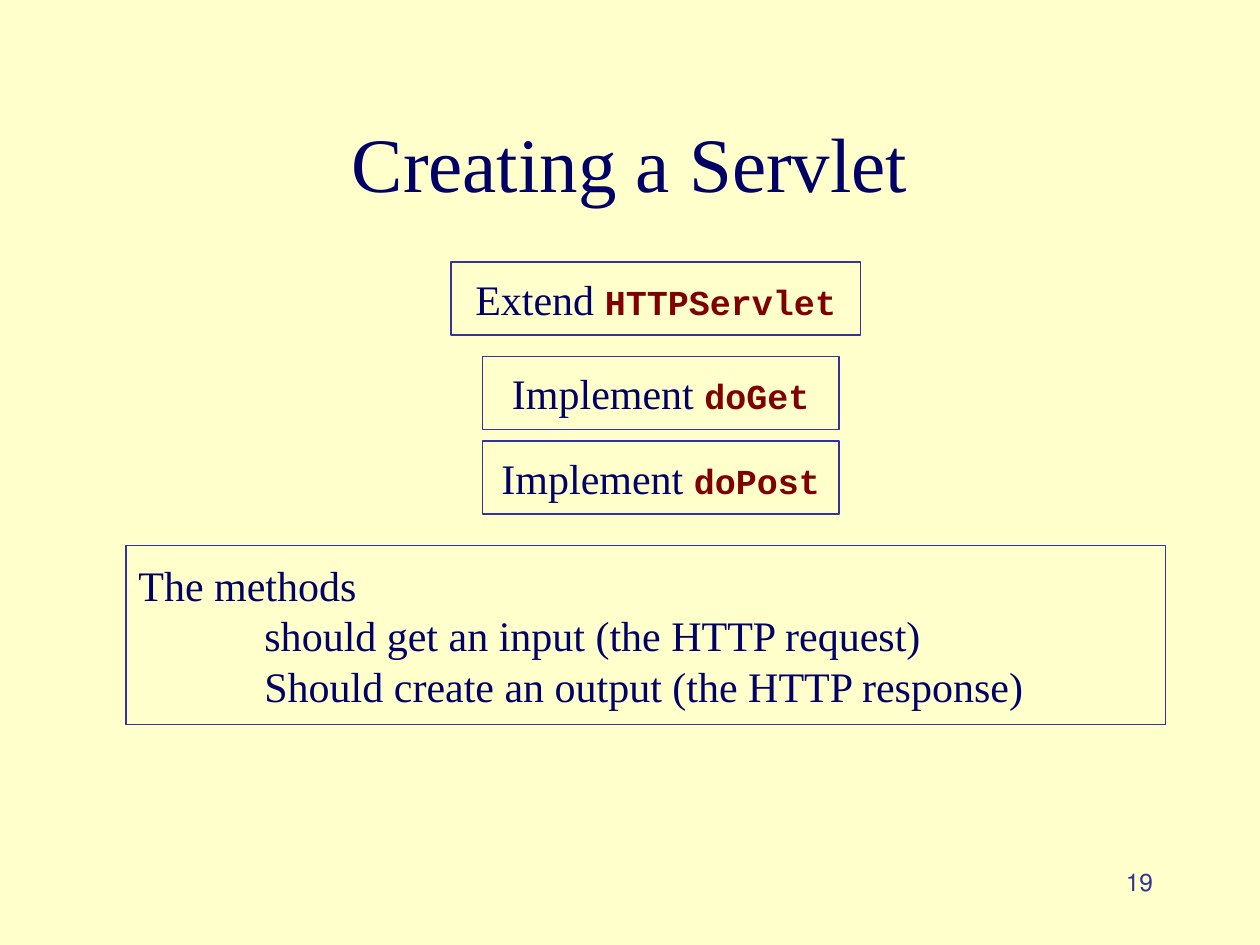
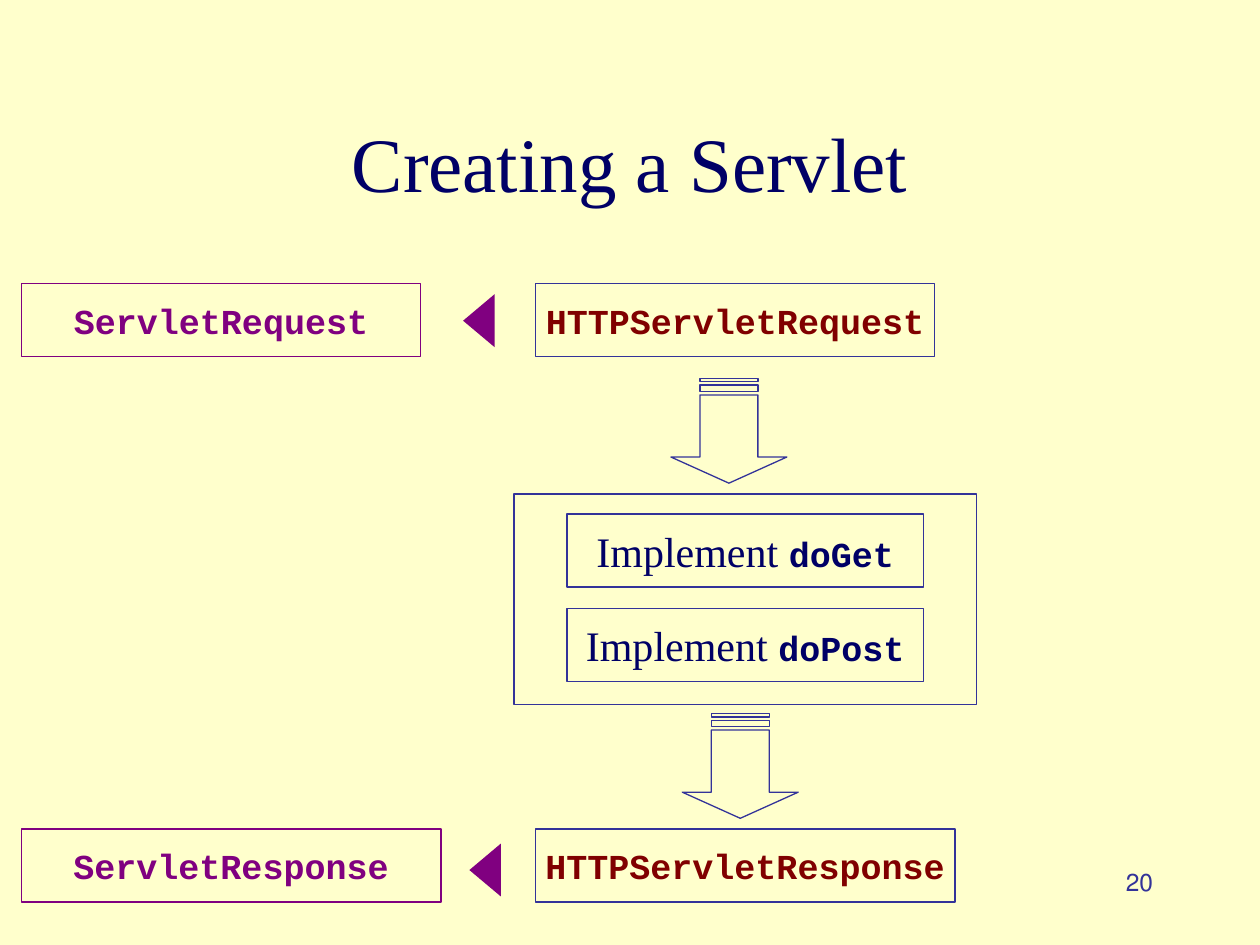
from pptx import Presentation
from pptx.dml.color import RGBColor
from pptx.enum.shapes import MSO_SHAPE
from pptx.enum.text import MSO_ANCHOR, PP_ALIGN
from pptx.util import Inches, Pt

CREAM = RGBColor(0xFF, 0xFF, 0xCC)
NAVY = RGBColor(0x00, 0x00, 0x66)
BLUE = RGBColor(0x33, 0x33, 0x99)
MAROON = RGBColor(0x80, 0x00, 0x00)
PURPLE = RGBColor(0x80, 0x00, 0x80)
SERIF = "Times New Roman"
MONO = "Courier New"
BOX_HEIGHT = 0.58


def add_outline(page, kind, left, top, width, height, color=BLUE):
    """Add an unfilled shape with a thin outline."""
    shape = page.shapes.add_shape(
        kind, Inches(left), Inches(top), Inches(width), Inches(height))
    shape.shadow.inherit = False
    shape.fill.background()
    shape.line.color.rgb = color
    shape.line.width = Pt(0.75)
    return shape


def write(box, lines, align, wrap=False):
    """Fill a box with lines, each a list of (text, font, size, color) spans."""
    frame = box.text_frame
    frame.word_wrap = wrap
    frame.vertical_anchor = MSO_ANCHOR.MIDDLE
    for number, spans in enumerate(lines):
        para = frame.paragraphs[0] if number == 0 else frame.add_paragraph()
        para.alignment = align
        for text, font, size, color in spans:
            span = para.add_run()
            span.text = text
            span.font.name = font
            span.font.size = Pt(size)
            span.font.color.rgb = color
            span.font.bold = font == MONO


deck = Presentation()
deck.slide_width = Inches(10)
deck.slide_height = Inches(7.5)

# Shared background, title and page number
pages = []
for page_number in ("19", "20"):
    page = deck.slides.add_slide(deck.slide_layouts[6])
    page.background.fill.solid()
    page.background.fill.fore_color.rgb = CREAM
    number_box = page.shapes.add_textbox(
        Inches(7.17), Inches(6.83), Inches(2.08), Inches(0.5))
    write(number_box, [[(page_number, SERIF, 14, BLUE)]], PP_ALIGN.RIGHT, wrap=True)
    number_box.text_frame.vertical_anchor = MSO_ANCHOR.TOP
    # The number runs right to left
    number_box.text_frame.paragraphs[0]._p.get_or_add_pPr().set("rtl", "1")
    title = page.shapes.add_textbox(
        Inches(0.75), Inches(0.66), Inches(8.5), Inches(1.25))
    write(title, [[("Creating a Servlet", SERIF, 44, NAVY)]], PP_ALIGN.CENTER, wrap=True)
    pages.append(page)
steps_page, flow_page = pages

# Steps on both pages: a verb and a code name
for page, left, top, width, verb, code, code_color in (
    (steps_page, 3.58, 2.08, 3.25, "Extend ", "HTTPServlet", MAROON),
    (steps_page, 3.83, 2.83, 2.83, "Implement ", "doGet", MAROON),
    (steps_page, 3.83, 3.5, 2.83, "Implement ", "doPost", MAROON),
    (flow_page, 4.5, 4.08, 2.83, "Implement ", "doGet", NAVY),
    (flow_page, 4.5, 4.83, 2.83, "Implement ", "doPost", NAVY),
):
    step = add_outline(page, MSO_SHAPE.RECTANGLE, left, top, width, BOX_HEIGHT)
    write(step, [[(verb, SERIF, 24, NAVY), (code, MONO, 20, code_color)]],
          PP_ALIGN.CENTER)

# What the methods do, with the duties indented
methods = add_outline(steps_page, MSO_SHAPE.RECTANGLE, 1, 4.33, 8.25, 1.42)
method_lines = (
    "The methods",
    "should get an input (the HTTP request)",
    "Should create an output (the HTTP response)",
)
write(methods, [[(line, SERIF, 24, NAVY)] for line in method_lines],
      PP_ALIGN.LEFT, wrap=True)
for para in methods.text_frame.paragraphs[1:]:
    para._p.get_or_add_pPr().set("marL", str(Inches(1)))

# Frame around the two methods
add_outline(flow_page, MSO_SHAPE.RECTANGLE, 4.08, 3.92, 3.67, 1.67)

# Request and response: HTTP class, its parent class, and the triangle between
for suffix, top, width, triangle_left, triangle_top in (
    ("Request", 2.25, 3.17, 3.59, 2.42),
    ("Response", 6.58, 3.33, 3.64, 6.78),
):
    for prefix, left, text_color, line_color in (
        ("HTTPServlet", 4.25, MAROON, BLUE),
        ("Servlet", 0.17, PURPLE, PURPLE),
    ):
        class_box = add_outline(flow_page, MSO_SHAPE.RECTANGLE, left, top, width,
                                BOX_HEIGHT, line_color)
        write(class_box, [[(prefix + suffix, MONO, 20, text_color)]], PP_ALIGN.CENTER)
    triangle = add_outline(flow_page, MSO_SHAPE.ISOSCELES_TRIANGLE,
                           triangle_left, triangle_top, 0.42, 0.25)
    triangle.rotation = 270
    triangle.fill.solid()
    triangle.fill.fore_color.rgb = PURPLE
    triangle.line.fill.background()

# Striped arrows pointing down through the flow
for left, top in ((5.37, 2.96), (5.46, 5.62)):
    arrow = add_outline(flow_page, MSO_SHAPE.STRIPED_RIGHT_ARROW, left, top, 0.83, 0.92)
    arrow.rotation = 90
    arrow.adjustments[0] = 0.5
    arrow.adjustments[1] = 0.25

deck.save("out.pptx")
